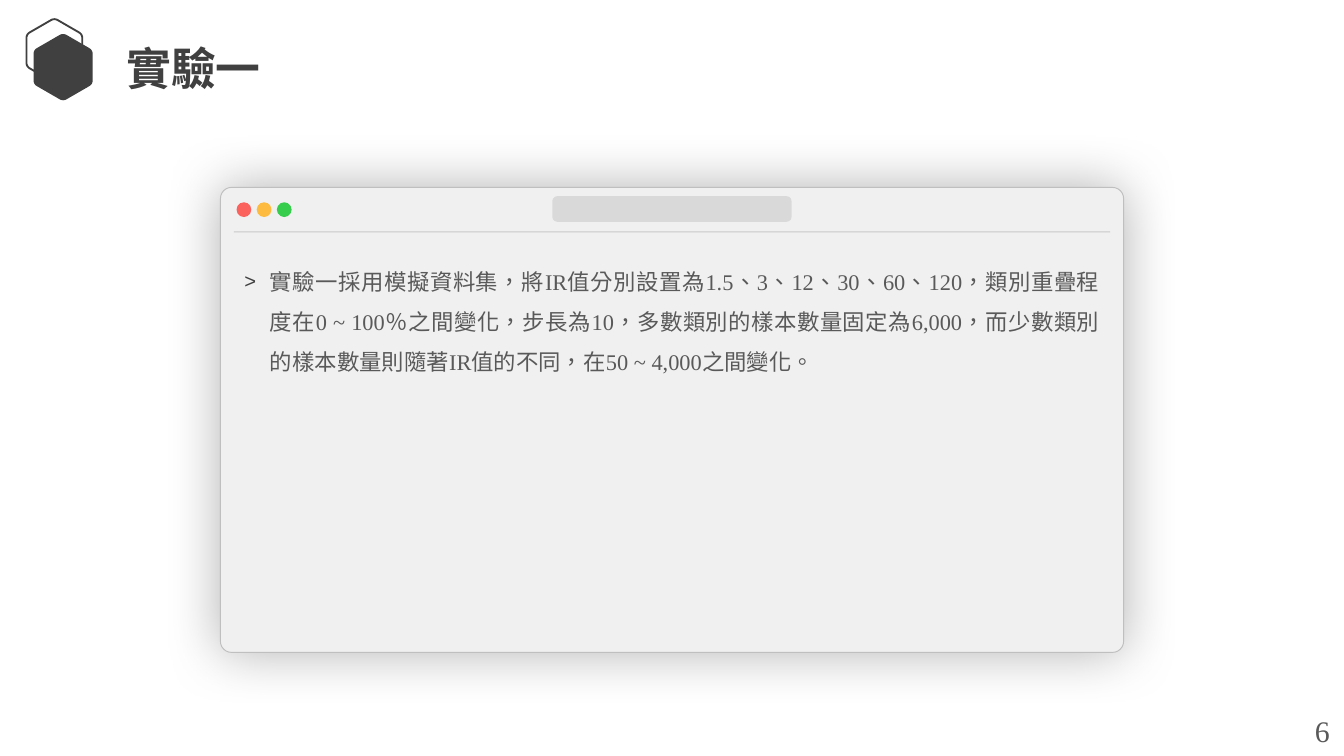
import math

from lxml import etree
from pptx import Presentation
from pptx import util as u
from pptx.dml.color import RGBColor
from pptx.enum import shapes, text
from pptx.oxml.ns import qn

CELL = u.Inches(0.1)  # side of one grid cell; the slide is 100 columns wide
COLS, ROWS = 100, 56.25
FONT = "Times New Roman"
COLORS = {
    "dark": "404040", "text": "595959", "window": "F0F0F0", "edge": "BFBFBF",
    "address": "D9D9D9", "close": "FC625D", "minimise": "FDBC40",
    "zoom": "35CD4B", "shadow": "000000",
}


def cells(*values):
    return [u.Emu(round(v * CELL)) for v in values]


def sub(parent, tag, **attrs):
    el = etree.SubElement(parent, qn(tag))
    for name, value in attrs.items():
        el.set(name, str(value))
    return el


class Deck:
    """Holds the style and the current slide; lengths are grid cells."""

    def __init__(self):
        self.prs = Presentation()
        self.prs.slide_width, self.prs.slide_height = cells(COLS, ROWS)
        self.s = self.prs.slides.add_slide(self.prs.slide_layouts[6])

    def color(self, name):
        return RGBColor.from_string(COLORS[name])

    def paint(self, sp, fill=None, line=None, width=0.5):
        sp.shadow.inherit = False
        if fill:
            sp.fill.solid()
            sp.fill.fore_color.rgb = self.color(fill)
        else:
            sp.fill.background()
        if line:
            sp.line.color.rgb = self.color(line)
            sp.line.width = u.Pt(width)
        else:
            sp.line.fill.background()
        return sp

    def shape(self, kind, box, fill=None, line=None, adj=None):
        sp = self.s.shapes.add_shape(kind, *cells(*box))
        if adj is not None:
            sp.adjustments[0] = adj
        return self.paint(sp, fill, line)

    def hexagon(self, cx, cy, width, fill=None, line=None):
        """Regular hexagon with a point on top and rounded corners."""
        radius, cut, steps = width / math.sqrt(3), 0.12, 6
        corners = [(cx + radius * math.sin(i * math.pi / 3),
                    cy - radius * math.cos(i * math.pi / 3)) for i in range(6)]
        points = []
        for i, corner in enumerate(corners):
            before, after = corners[i - 1], corners[(i + 1) % 6]
            for k in range(steps + 1):
                t = k / steps
                a, b = cut * (1 - t) ** 2, cut * t ** 2
                points.append(cells(*(c + a * (p - c) + b * (n - c)
                                      for c, p, n in zip(corner, before, after))))
        fb = self.s.shapes.build_freeform(*points[0])
        fb.add_line_segments(points[1:], close=True)
        return self.paint(fb.convert_to_shape(), fill, line, 1)

    def rule(self, x1, x2, y, color, alpha):
        ln = self.s.shapes.add_connector(
            shapes.MSO_CONNECTOR.STRAIGHT, *cells(x1, y, x2, y))
        ln.line.color.rgb = self.color(color)
        ln.line.width = u.Pt(0.5)
        clr = next(ln._element.spPr.iter(qn("a:srgbClr")))
        sub(clr, "a:alpha", val=alpha * 1000)
        sub(ln._element.spPr, "a:effectLst")
        return ln

    def glow(self, sp, color, blur, alpha):
        effects = sp._element.spPr.find(qn("a:effectLst"))
        shadow = sub(effects, "a:outerShdw", blurRad=u.Pt(blur), dist=0,
                     algn="ctr", rotWithShape=0)
        clr = sub(shadow, "a:srgbClr", val=COLORS[color])
        sub(clr, "a:alpha", val=alpha * 1000)

    def run(self, p, words, size, color, bold=False):
        r = p.add_run()
        r.text = words
        r.font.name, r.font.size, r.font.bold = FONT, u.Pt(size), bold
        r.font.color.rgb = self.color(color)
        r._r.get_or_add_rPr().set("lang", "zh-TW")

    def label(self, box, words, size, color, bold=False, wrap=True, inset=None):
        tf = self.s.shapes.add_textbox(*cells(*box)).text_frame
        tf.word_wrap = wrap
        tf.auto_size = text.MSO_AUTO_SIZE.SHAPE_TO_FIT_TEXT
        if inset:
            tf.margin_left = tf.margin_right = cells(inset[0])[0]
            tf.margin_top = tf.margin_bottom = cells(inset[1])[0]
        self.run(tf.paragraphs[0], words, size, color, bold)

    def bullets(self, box, items, size, color, indent):
        sp = self.shape(shapes.MSO_SHAPE.ROUNDED_RECTANGLE, box, adj=0)
        tf = sp.text_frame
        tf.word_wrap = True
        tf.vertical_anchor = text.MSO_ANCHOR.TOP
        for i, words in enumerate(items):
            p = tf.add_paragraph() if i else tf.paragraphs[0]
            p.alignment = text.PP_ALIGN.JUSTIFY
            p.line_spacing = 1.5
            ppr = p._p.get_or_add_pPr()
            margin = cells(indent)[0]
            ppr.set("marL", str(margin))
            ppr.set("indent", str(-margin))
            sub(sub(ppr, "a:buClr"), "a:srgbClr", val=COLORS["dark"])
            sub(ppr, "a:buSzPct", val=90000)
            sub(ppr, "a:buFont", typeface="Arial")
            sub(ppr, "a:buChar", char=">")
            self.run(p, words, size, color)

    def group(self, *members):
        self.s.shapes.add_group_shape(members)


def main():
    deck = Deck()
    rounded, oval = shapes.MSO_SHAPE.ROUNDED_RECTANGLE, shapes.MSO_SHAPE.OVAL

    # Heading with its hexagon mark
    deck.group(deck.hexagon(4.05, 3.75, 4.15, line="dark"),
               deck.hexagon(4.7, 5, 4.4, fill="dark"))
    deck.label((8.7, 2.6, 21.3, 4.8), "實驗一", 24, "dark", bold=True,
               inset=(0.7, 0.4))

    # Page number
    deck.label((96.85, 52.55, 3.1, 3.7), "6", 16, "text", wrap=False)

    # Window frame, its buttons and its address bar
    window = deck.shape(rounded, (16.4, 13.95, 67.2, 34.6), "window", "edge", 0.024)
    deck.glow(window, "shadow", blur=30, alpha=30)
    buttons = [deck.shape(oval, (17.6 + 1.5 * i, 15.05, 1.1, 1.1), name)
               for i, name in enumerate(("close", "minimise", "zoom"))]
    address = deck.shape(rounded, (41.1, 14.6, 17.8, 1.9), "address", adj=0.19)
    divider = deck.rule(17.4, 82.6, 17.25, "edge", alpha=80)
    deck.group(window, *buttons, address, divider)

    # Description of the experiment
    deck.bullets((17.2, 18.45, 65.6, 22.7), [
        "實驗一採用模擬資料集，將IR值分別設置為1.5、3、12、30、60、120，"
        "類別重疊程度在0 ~ 100％之間變化，步長為10，"
        "多數類別的樣本數量固定為6,000，"
        "而少數類別的樣本數量則隨著IR值的不同，在50 ~ 4,000之間變化。",
    ], 12, "text", indent=1.9)

    deck.prs.save("out.pptx")


if __name__ == "__main__":
    main()
